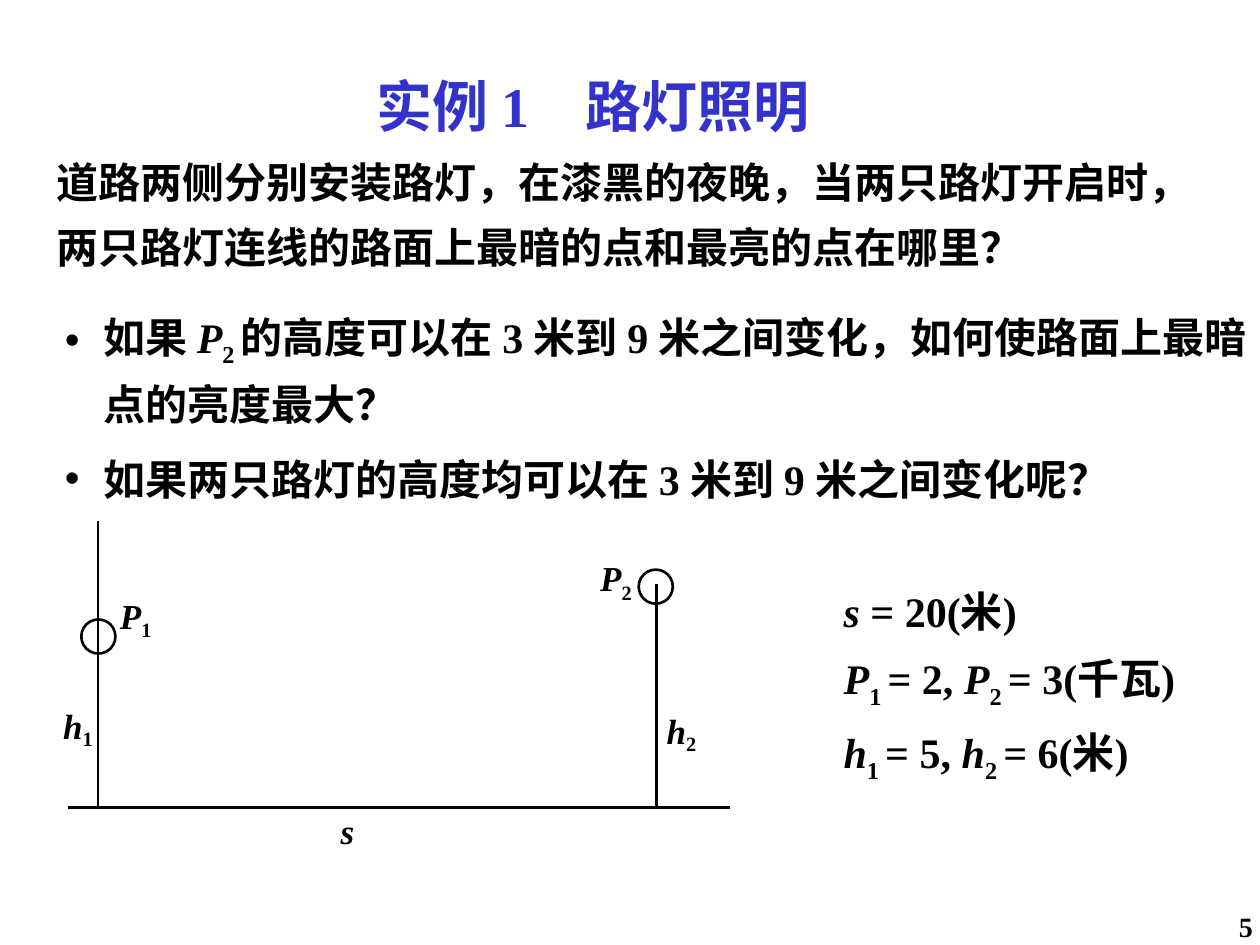
from dataclasses import dataclass
from typing import NamedTuple

from lxml import etree
from pptx import Presentation
from pptx.dml.color import RGBColor
from pptx.enum.shapes import MSO_CONNECTOR, MSO_SHAPE
from pptx.enum.text import MSO_ANCHOR, MSO_AUTO_SIZE, PP_ALIGN
from pptx.oxml.ns import qn
from pptx.util import Pt

LEFT, CENTER, RIGHT = PP_ALIGN.LEFT, PP_ALIGN.CENTER, PP_ALIGN.RIGHT
MIDDLE, FIXED = MSO_ANCHOR.MIDDLE, MSO_AUTO_SIZE.NONE
STRAIGHT, OVAL = MSO_CONNECTOR.STRAIGHT, MSO_SHAPE.OVAL
FONT, BLACK, BLUE = "Times New Roman", "000000", "3333CC"


class Run(NamedTuple):
    text: str
    slant: bool = False
    base: int = 0


class Box(NamedTuple):
    left: float
    top: float
    width: float
    height: float


@dataclass
class Style:
    size: float
    color: str = BLACK
    align: PP_ALIGN = LEFT
    line: float = 1.0
    after: float = 0
    hang: float = 0
    wrap: bool = False
    inset: tuple = (7.2, 3.6, 7.2, 3.6)


@dataclass
class Label:
    left: float
    top: float
    runs: list[Run]


def paint(code: str) -> RGBColor:
    return RGBColor.from_string(code)


def plain(text: str) -> Run:
    return Run(text)


def var(text: str) -> Run:
    return Run(text, slant=True)


def sub(text: str, drop: int = 25) -> Run:
    return Run(text, base=-drop * 1000)


def assign(item, values: dict) -> None:
    for name, value in values.items():
        setattr(item, name, value)


def place(shape, box: Box) -> None:
    assign(shape, {name: Pt(value) for name, value in box._asdict().items()})


def write(shape, lines: list[list[Run]], style: Style) -> None:
    frame = shape.text_frame
    assign(frame, {"word_wrap": style.wrap, "auto_size": FIXED, "vertical_anchor": MIDDLE})
    sides = ("left", "top", "right", "bottom")
    assign(frame, {f"margin_{side}": Pt(gap) for side, gap in zip(sides, style.inset)})
    for index, runs in enumerate(lines):
        para = frame.add_paragraph() if index else frame.paragraphs[0]
        assign(para, {"alignment": style.align, "line_spacing": style.line,
                      "space_before": Pt(0), "space_after": Pt(style.after)})
        if style.hang:
            props = para._p.get_or_add_pPr()
            props.set("marL", str(Pt(style.hang)))
            props.set("indent", str(-Pt(22)))
        for part in runs:
            run = para.add_run()
            run.text = part.text
            assign(run.font, {"name": FONT, "size": Pt(style.size),
                              "bold": True, "italic": part.slant})
            run.font.color.rgb = paint(style.color)
            if part.base:
                run._r.get_or_add_rPr().set("baseline", str(part.base))


def add_text(slide, box: Box, lines: list[list[Run]], style: Style) -> None:
    write(slide.shapes.add_textbox(*map(Pt, box)), lines, style)


def outline(shape) -> None:
    shape.line.color.rgb = paint(BLACK)
    shape.line.width = Pt(1.5)


def add_line(slide, ends: tuple) -> None:
    line = slide.shapes.add_connector(STRAIGHT, *map(Pt, ends))
    outline(line)
    etree.SubElement(line._element.spPr, qn("a:effectLst"))


def add_lamp(slide, box: Box) -> None:
    lamp = slide.shapes.add_shape(OVAL, *map(Pt, box))
    lamp.shadow.inherit = False
    lamp.fill.background()
    outline(lamp)


INTRO = [
    [plain("道路两侧分别安装路灯，在漆黑的夜晚，当两只路灯开启时，")],
    [plain("两只路灯连线的路面上最暗的点和最亮的点在哪里？")],
]
TASKS = [
    [plain("如果 "), var("P"), sub("2 "),
     plain("的高度可以在 3 米到 9 米之间变化，如何使路面上最暗点的亮度最大？")],
    [plain("如果两只路灯的高度均可以在 3 米到 9 米之间变化呢？")],
]


def pair(name: str, first: str, second: str) -> list[Run]:
    return [var(name), sub("1 "), plain(f"= {first}, "),
            var(name), sub("2 "), plain(f"= {second}")]


DATA = [
    [var("s"), plain(" = 20(米)")],
    pair("P", "2", "3(千瓦)"),
    pair("h", "5", "6(米)"),
]
GROUND = 461.5
LINES = [
    (39, GROUND, 417, GROUND),
    (56, 298, 56, GROUND),
    (375, 334, 375, GROUND),
]
LAMPS = [Box(46.5, 354, 19.5, 19.5), Box(365, 325.5, 19.5, 19.5)]
LABELS = [
    Label(57.6, 338.4, [var("P"), sub("1")]),
    Label(24.5, 401, [var("h"), sub("1", 20)]),
    Label(369.4, 404, [var("h"), sub("2", 20)]),
    Label(332, 317, [var("P"), sub("2")]),
    Label(178.5, 460, [var("s")]),
]


def main() -> None:
    deck = Presentation()
    deck.slide_width, deck.slide_height = Pt(720), Pt(540)
    slide = deck.slides.add_slide(deck.slide_layouts[1])
    title, body = slide.placeholders

    place(title, Box(208, 41, 281, 38))
    write(title, [[plain("实例 1　路灯照明")]], Style(32, BLUE))
    place(body, Box(22.3, 170, 697, 119))
    write(body, TASKS, Style(24, line=1.2, after=8, hang=29.5, wrap=True,
                             inset=(7.2, 3.6, 0, 3.6)))

    prose = Style(24, line=1.2, after=3)
    add_text(slide, Box(25, 83, 663, 73), INTRO, prose)
    add_text(slide, Box(475, 312, 208, 153), DATA, prose)

    for ends in LINES:
        add_line(slide, ends)
    for box in LAMPS:
        add_lamp(slide, box)
    for label in LABELS:
        add_text(slide, Box(label.left, label.top, 40, 29.5),
                 [label.runs], Style(20, align=CENTER))
    add_text(slide, Box(678, 519, 42, 21), [[plain("5")]],
             Style(16, align=RIGHT, inset=(4, 1, 4, 1)))
    deck.save("out.pptx")


if __name__ == "__main__":
    main()
